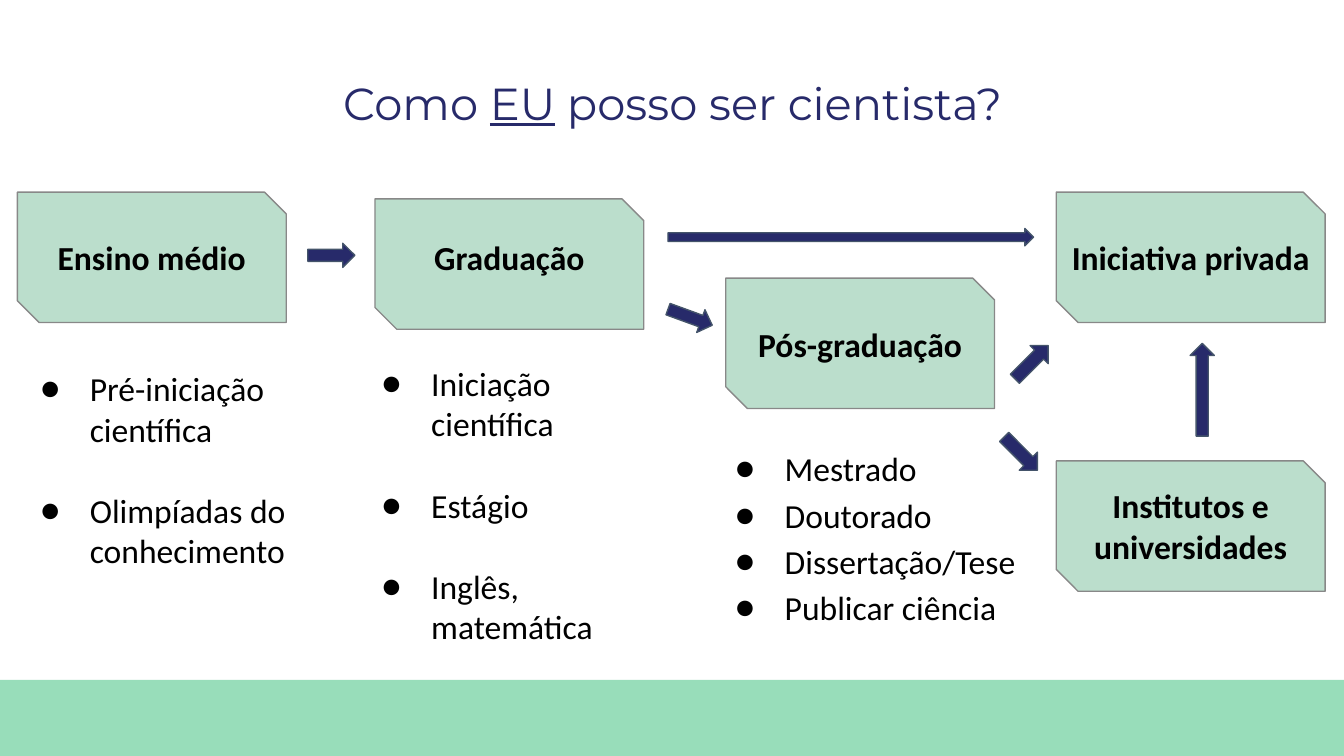
"""Builds a slide that maps the paths to becoming a scientist."""
import lxml.etree
import pptx
import pptx.dml.color
import pptx.enum.shapes
import pptx.enum.text
import pptx.oxml.ns
import pptx.util

Inches = pptx.util.Inches
Pt = pptx.util.Pt
RGBColor = pptx.dml.color.RGBColor
MSO_SHAPE = pptx.enum.shapes.MSO_SHAPE
MSO_ANCHOR = pptx.enum.text.MSO_ANCHOR
PP_ALIGN = pptx.enum.text.PP_ALIGN
qn = pptx.oxml.ns.qn

NAVY = RGBColor(0x27, 0x2A, 0x6A)
SLATE = RGBColor(0x44, 0x54, 0x6A)
GREEN = RGBColor(0x98, 0xDD, 0xBA)
MINT = RGBColor(0xBB, 0xDE, 0xCC)
GRAY = RGBColor(0x88, 0x88, 0x88)
BLACK = RGBColor(0, 0, 0)

CARD_W, CARD_H = 2, 0.97
LABEL_H = 0.72


class SlideBuilder:
    def __init__(self, slide):
        self.slide = slide
        self.body_font = "Calibri"
        self.title_font = "Montserrat"
        self.body_size = Pt(18)
        self.title_size = Pt(24)

    def shape(self, kind, box, fill, line=None, adj=(), rotation=0):
        sp = self.slide.shapes.add_shape(kind, *map(Inches, box))
        sp.shadow.inherit = False
        sp.fill.solid()
        sp.fill.fore_color.rgb = fill
        if line is None:
            sp.line.fill.background()
        else:
            sp.line.color.rgb = line
            sp.line.width = Pt(0.75)
        for i, value in enumerate(adj):
            sp.adjustments[i] = value
        sp.rotation = rotation

    def textbox(self, box, anchor=MSO_ANCHOR.TOP, inset_x=0.1, inset_y=0.1):
        tf = self.slide.shapes.add_textbox(*map(Inches, box)).text_frame
        tf.word_wrap = True
        tf.vertical_anchor = anchor
        tf.margin_left = tf.margin_right = Inches(inset_x)
        tf.margin_top = tf.margin_bottom = Inches(inset_y)
        return tf

    def format_run(self, r, font, size, color, bold=False):
        r.font.name = font
        r.font.size = size
        r.font.color.rgb = color
        r.font.bold = bold

    def title(self, box, before, underlined, after):
        tf = self.textbox(box, MSO_ANCHOR.MIDDLE, 0.07, 0.04)
        p = tf.paragraphs[0]
        p.alignment = PP_ALIGN.CENTER
        p.line_spacing = 0.9
        for text in (before, underlined, after):
            r = p.add_run()
            r.text = text
            self.format_run(r, self.title_font, self.title_size, NAVY)
            r.font.underline = text == underlined

    def card(self, left, top, label_top, text):
        self.shape(MSO_SHAPE.SNIP_2_DIAG_RECTANGLE, (left, top, CARD_W, CARD_H),
                   MINT, GRAY, (0, 0.167))
        tf = self.textbox((left, label_top, CARD_W, LABEL_H), MSO_ANCHOR.MIDDLE)
        tf.text = text
        p = tf.paragraphs[0]
        p.alignment = PP_ALIGN.CENTER
        self.format_run(p.runs[0], self.body_font, self.body_size, BLACK, True)

    def bullets(self, box, items, line_spacing=1.0, gap=0):
        tf = self.textbox(box)
        tf.text = "\n".join(items)
        for i, p in enumerate(tf.paragraphs):
            pPr = p._p.get_or_add_pPr()
            pPr.set("marL", str(Inches(0.5)))
            pPr.set("indent", str(Inches(-0.37)))
            clr = lxml.etree.SubElement(pPr, qn("a:buClr"))
            lxml.etree.SubElement(clr, qn("a:srgbClr"), val=str(BLACK))
            lxml.etree.SubElement(pPr, qn("a:buFont"), typeface=self.body_font)
            lxml.etree.SubElement(pPr, qn("a:buChar"), char="●")
            p.line_spacing = line_spacing
            if i:
                p.space_before = Pt(gap)
            self.format_run(p.runs[0], self.body_font, self.body_size, BLACK)

    def arrow(self, box, rotation=0):
        self.shape(MSO_SHAPE.RIGHT_ARROW, box, NAVY, SLATE, (0.5, 0.5), rotation)


def main():
    prs = pptx.Presentation()
    prs.slide_width = Inches(10)
    prs.slide_height = Inches(10 * 9 / 16)
    s = SlideBuilder(prs.slides.add_slide(prs.slide_layouts[6]))

    s.shape(MSO_SHAPE.RECTANGLE, (0, 5.06, 10, 0.57), GREEN)
    s.title((0.27, 0.24, 9.47, 1.09), "Como ", "EU", " posso ser cientista?")

    for left, top, label_top, text in (
        (0.13, 1.43, 1.55, "Ensino médio"),
        (2.79, 1.48, 1.55, "Graduação"),
        (5.4, 2.07, 2.2, "Pós-graduação"),
        (7.86, 1.43, 1.55, "Iniciativa privada"),
        (7.86, 3.43, 3.55, "Institutos e universidades"),
    ):
        s.card(left, top, label_top, text)

    s.bullets((0.07, 2.64, 2.63, 2.13),
              ("Pré-iniciação científica", "Olimpíadas do conhecimento"), gap=22)
    s.bullets((2.61, 2.6, 2.48, 1.91),
              ("Iniciação científica", "Estágio", "Inglês, matemática"), gap=22)
    s.bullets((5.24, 3.19, 2.48, 2.02),
              ("Mestrado", "Doutorado", "Dissertação/Tese", "Publicar ciência"),
              line_spacing=1.15)

    for box, rotation in (
        ((2.29, 1.81, 0.35, 0.18), 0),
        ((4.97, 1.7, 2.72, 0.13), 0),
        ((4.96, 2.27, 0.35, 0.18), 20),
        ((7.42, 3.28, 0.35, 0.19), 45),
        ((8.6, 2.81, 0.69, 0.18), 270),
        ((7.5, 2.6, 0.35, 0.19), 315),
    ):
        s.arrow(box, rotation)

    prs.save("out.pptx")


if __name__ == "__main__":
    main()
